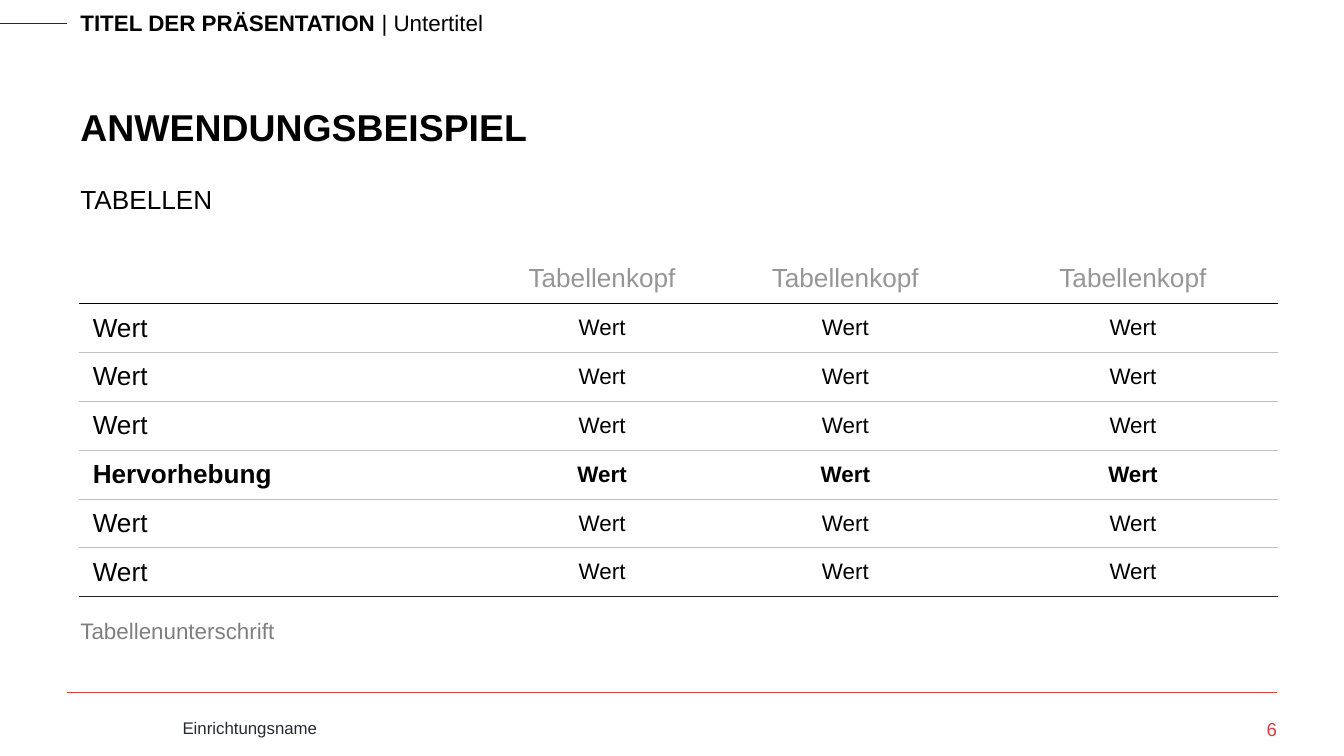
from lxml import etree
from pptx import Presentation, util as u
from pptx.dml.color import RGBColor
from pptx.enum import shapes, text
from pptx.oxml import ns

W = 10
H = W * 9 / 16
EDGE = W * 0.05
CONTENT = W - 2 * EDGE
FONT = "Arial"
COLORS = {
    "black": "000000", "ink": "262A31", "rule": "242424", "caption": "7F7F7F",
    "head": "969696", "grid": "BFBFBF", "white": "FFFFFF", "red": "D8413E",
}


def write(tf, *parts, size=12, color="black", bold=False,
          align=text.PP_ALIGN.LEFT):
    """Fill a text frame with one paragraph; only the first part can be bold."""
    tf.word_wrap = True
    p = tf.paragraphs[0]
    p.alignment = align
    for i, part in enumerate(parts):
        r = p.add_run()
        r.text = part
        r.font.name, r.font.size = FONT, u.Pt(size)
        r.font.bold = bold and i == 0
        r.font.color.rgb = RGBColor.from_string(COLORS[color])


def border(cell, side, color, width):
    tcPr = cell._tc.get_or_add_tcPr()
    ln = etree.SubElement(tcPr, ns.qn(f"a:ln{side}"), w=str(u.Pt(width)))
    fill = etree.SubElement(ln, ns.qn("a:solidFill"))
    etree.SubElement(fill, ns.qn("a:srgbClr"), val=COLORS[color])


prs = Presentation()
prs.slide_width, prs.slide_height = u.Inches(W), u.Inches(H)
slide = prs.slides.add_slide(prs.slide_layouts[6])

# Header and footer rules
for x1, x2, y, color in [(0, EDGE, 0.17, "ink"), (EDGE, W - EDGE, 5.15, "red")]:
    line = slide.shapes.add_connector(
        shapes.MSO_CONNECTOR.STRAIGHT, *map(u.Inches, (x1, y, x2, y)))
    line.line.color.rgb = RGBColor.from_string(COLORS[color])
    line.line.width = u.Pt(0.25)
    etree.SubElement(line._element.spPr, ns.qn("a:effectLst"))

# Text around the table
top, bottom = text.MSO_ANCHOR.TOP, text.MSO_ANCHOR.BOTTOM
for box, anchor, parts, style in [
    ((EDGE, 0.02, 7.66, 0.3), top, ("TITEL DER PRÄSENTATION ", "| Untertitel"), dict(bold=True)),
    ((EDGE, 0.33, CONTENT, 0.83), bottom, ("ANWENDUNGSBEISPIEL",), dict(size=20, bold=True)),
    ((EDGE, 1.25, CONTENT, 0.4), bottom, ("TABELLEN",), dict(size=14)),
    ((EDGE, 4.54, CONTENT, 0.6), top, ("Tabellenunterschrift",), dict(color="caption")),
    ((1.26, 5.29, 7.42, 0.25), top, ("Einrichtungsname",), dict(size=9, color="ink")),
]:
    sp = slide.shapes.add_textbox(*map(u.Inches, box))
    sp.text_frame.vertical_anchor = anchor
    write(sp.text_frame, *parts, **style)

# Table
labels = ["Wert"] * 3 + ["Hervorhebung"] + ["Wert"] * 2
rows = [["", *["Tabellenkopf"] * 3]] + [[label, *["Wert"] * 3] for label in labels]
col_widths = [3.15, 1.48, 2.14, 2.14]
table_height, head_height = 2.56, 0.38
row_heights = [head_height] + [(table_height - head_height) / len(labels)] * len(labels)
table = slide.shapes.add_table(
    len(rows), len(col_widths),
    *map(u.Inches, (0.59, 1.88, sum(col_widths), table_height))).table
table.first_row = table.horz_banding = False
for col, width in zip(table.columns, col_widths):
    col.width = u.Inches(width)
for row, height in zip(table.rows, row_heights):
    row.height = u.Inches(height)

rules = [("black", 0.5)] + [("grid", 0.23)] * (len(labels) - 1) + [("rule", 0.5)]
for i, values in enumerate(rows):
    for j, value in enumerate(values):
        cell = table.cell(i, j)
        cell.margin_top = cell.margin_bottom = 0
        cell.vertical_anchor = text.MSO_ANCHOR.MIDDLE
        border(cell, "L", "white", 0.96)
        border(cell, "R", "white", 0.96)
        if i > 0:
            border(cell, "T", *rules[i - 1])
        border(cell, "B", *rules[i])
        cell.fill.background()
        if value:
            write(cell.text_frame, value,
                  size=14 if i == 0 or j == 0 else 12,
                  color="head" if i == 0 else "black",
                  bold=values[0] == "Hervorhebung",
                  align=text.PP_ALIGN.CENTER if j else text.PP_ALIGN.LEFT)

# Page number
sp = slide.shapes.add_textbox(*map(u.Inches, (8.69, 5.34, 0.81, 0.22)))
tf = sp.text_frame
tf.margin_left = tf.margin_right = tf.margin_top = tf.margin_bottom = 0
write(tf, "6", size=10, color="red", align=text.PP_ALIGN.RIGHT)

prs.save("out.pptx")
